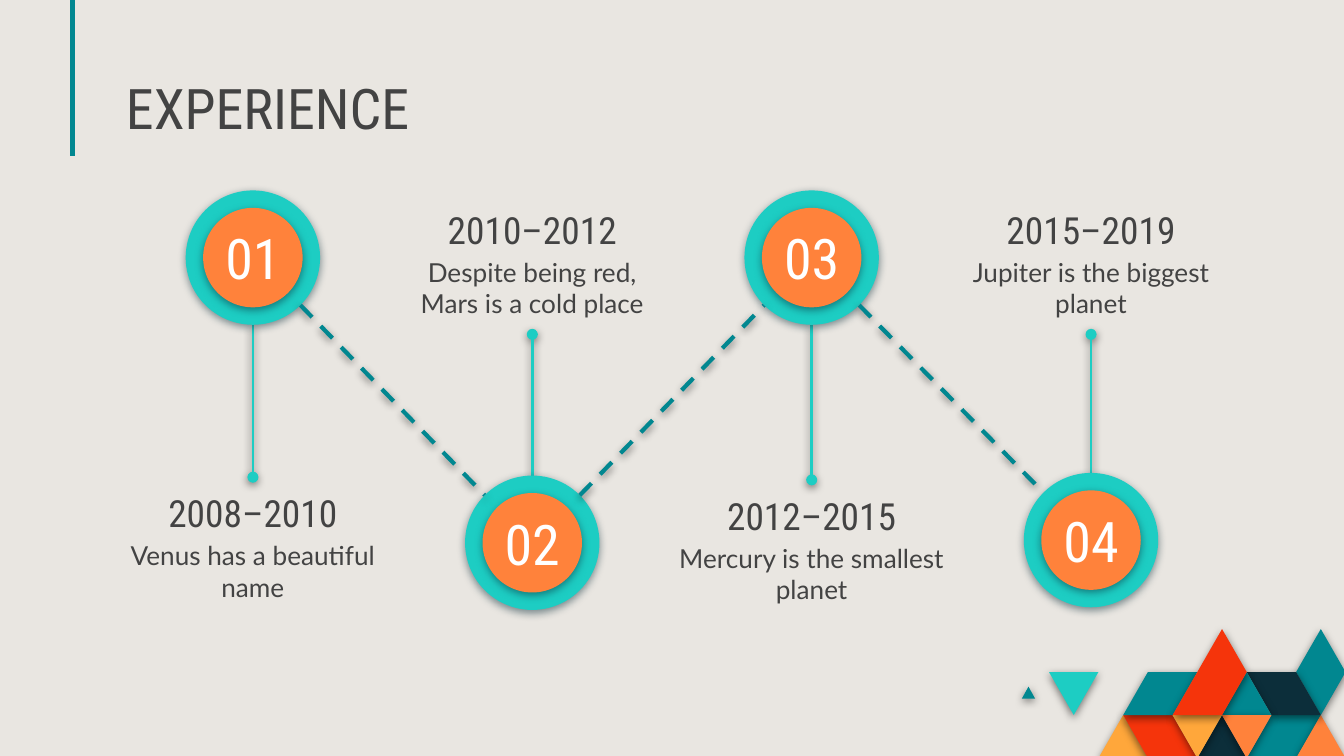
import math

import pptx
import pptx.dml.color
import pptx.enum.dml
import pptx.enum.shapes
import pptx.enum.text
import pptx.oxml
import pptx.oxml.ns
import pptx.util

Cm = pptx.util.Cm
Pt = pptx.util.Pt
ALIGN = pptx.enum.text.PP_ALIGN
ANCHOR = pptx.enum.text.MSO_ANCHOR

# Content: (number, years, note, side of the label, circle centre y, stem tip y)
TITLE = "EXPERIENCE"
MILESTONES = [
    ("01", "2008–2010", "Venus has a beautiful name", "below", 4.87, 9.02),
    ("02", "2010–2012", "Despite being red, Mars is a cold place", "above", 10.26, 6.32),
    ("03", "2012–2015", "Mercury is the smallest planet", "below", 4.87, 9.07),
    ("04", "2015–2019", "Jupiter is the biggest planet", "above", 10.21, 6.32),
]

THEME = {
    "background": "E9E6E1", "text": "434343", "white": "FFFFFF", "black": "000000",
    "teal": "018790", "turquoise": "1DCDC3", "orange": "FF823B",
    "amber": "FFA73B", "red": "F5340B", "navy": "0C2E3A",
    "heading font": "Roboto Condensed", "body font": "Lato",
    "title size": 30, "years size": 20, "note size": 14,
}

# Mosaic corners as (half-tile column, row), back to front
MOSAIC = [
    ("amber", [(0, 3), (1, 2), (2, 3)]),
    ("red", [(1, 2), (3, 2), (4, 3), (2, 3)]),
    ("teal", [(6, 3), (7, 2), (9, 2), (8, 3)]),
    ("orange", [(8, 3), (9, 2), (10, 3)]),
    ("navy", [(4, 3), (5, 2), (6, 3)]),
    ("teal", [(1, 2), (2, 1), (4, 1), (3, 2)]),
    ("teal", [(-3.1, 1.62), (-2.83, 1.34), (-2.56, 1.62)]),
    ("turquoise", [(-2, 1), (0, 1), (-1, 2)]),
    ("teal", [(8, 1), (9, 0), (10, 1), (9, 2)]),
    ("navy", [(6, 1), (8, 1), (9, 2), (7, 2)]),
    ("teal", [(5, 2), (6, 1), (7, 2)]),
    ("orange", [(5, 2), (7, 2), (6, 3)]),
    ("amber", [(3, 2), (5, 2), (4, 3)]),
    ("red", [(3, 2), (5, 0), (6, 1), (5, 2)]),
]

# Layout in centimetres
SLIDE_WIDTH, SLIDE_HEIGHT = 25.4, 14.29
FIRST_X, STEP_X = 4.78, 5.28
OUTER, INNER, NUMBER_BOX = 2.54, 1.88, (1.65, 1.6)
YEARS_BOX, NOTE_WIDTH, NOTE_DROP = (4.11, 1.09), 5.59, 0.93
LABEL_SIDES = {"below": {"offset": 0, "note height": 1.47},
               "above": {"offset": -2.66, "note height": 1.73}}
MOSAIC_X, MOSAIC_Y = 20.76, 11.89
HALF_TILE, TILE_HEIGHT = 4.67 / 10, 2.44 / 3


def color(name):
    return pptx.dml.color.RGBColor.from_string(THEME[name])


def apply_format(target, values):
    for name, value in values.items():
        setattr(target, name, value)


def set_effects(shape, shadow=None):
    """Replace the inherited effects by one soft shadow, or by none."""
    effects = pptx.oxml.parse_xml(
        "<a:effectLst %s/>" % pptx.oxml.ns.nsdecls("a"))
    if shadow:
        effects.append(pptx.oxml.parse_xml(
            '<a:outerShdw %s blurRad="%d" dist="%d" dir="5400000" algn="bl" rotWithShape="0">'
            '<a:srgbClr val="%s"><a:alpha val="50000"/></a:srgbClr></a:outerShdw>'
            % (pptx.oxml.ns.nsdecls("a"), Pt(4.5), Pt(1.5), THEME[shadow])))
    shape._element.spPr.append(effects)


def paint(shape, fill, shadow):
    shape.fill.solid()
    shape.fill.fore_color.rgb = color(fill)
    shape.line.fill.background()
    set_effects(shape, shadow)


def add_line(start, end, line_color, width, shadow="black", dash=None, oval=False):
    line = slide.shapes.add_connector(
        pptx.enum.shapes.MSO_CONNECTOR.STRAIGHT, *map(Cm, start + end))
    line.line.color.rgb = color(line_color)
    apply_format(line.line, {"width": Pt(width), "dash_style": dash})
    if oval:
        line.line._get_or_add_ln().append(pptx.oxml.parse_xml(
            '<a:tailEnd %s type="oval"/>' % pptx.oxml.ns.nsdecls("a")))
    set_effects(line, shadow)


def add_circle(x, y, diameter, fill):
    circle = slide.shapes.add_shape(
        pptx.enum.shapes.MSO_SHAPE.OVAL, Cm(x - diameter / 2), Cm(y - diameter / 2),
        Cm(diameter), Cm(diameter))
    paint(circle, fill, "navy")


def write(shape, text, size, font="heading font", font_color="text",
          align=ALIGN.CENTER, anchor=ANCHOR.TOP, spacing=1.0):
    frame = shape.text_frame
    inset = Cm(0.25)
    apply_format(frame, {
        "text": text, "word_wrap": True, "vertical_anchor": anchor,
        "auto_size": pptx.enum.text.MSO_AUTO_SIZE.NONE,
        "margin_left": inset, "margin_right": inset,
        "margin_top": inset, "margin_bottom": inset})
    paragraph = frame.paragraphs[0]
    apply_format(paragraph, {"alignment": align, "line_spacing": spacing})
    apply_format(paragraph.font, {"name": THEME[font], "size": Pt(THEME[size])})
    paragraph.font.color.rgb = color(font_color)


def add_text(center_x, top, width, height, text, size, **options):
    box = slide.shapes.add_textbox(
        Cm(center_x - width / 2), Cm(top), Cm(width), Cm(height))
    write(box, text, size, **options)


presentation = pptx.Presentation()
apply_format(presentation, {"slide_width": Cm(SLIDE_WIDTH),
                            "slide_height": Cm(SLIDE_HEIGHT)})
slide = presentation.slides.add_slide(presentation.slide_layouts[5])
slide.background.fill.solid()
slide.background.fill.fore_color.rgb = color("background")

# Title and its accent line
title = slide.shapes.title
apply_format(title, {"left": Cm(2.13), "top": Cm(1.3),
                     "width": Cm(10.57), "height": Cm(1.6)})
write(title, TITLE, "title size", align=ALIGN.LEFT, anchor=ANCHOR.BOTTOM, spacing=0.8)
add_line((1.37, 0), (1.37, 2.95), "teal", 2.25, shadow=None)

# Corner mosaic
for fill, corners in MOSAIC:
    points = [(Cm(MOSAIC_X + column * HALF_TILE), Cm(MOSAIC_Y + row * TILE_HEIGHT))
              for column, row in corners]
    builder = slide.shapes.build_freeform(*points[0], scale=1.0)
    builder.add_line_segments(points[1:], close=True)
    paint(builder.convert_to_shape(), fill, "black")

# Milestones: stem, circles, number and label
centers = []
for index, (number, years, note, side, y, tip) in enumerate(MILESTONES):
    x = FIRST_X + index * STEP_X
    centers.append((x, y))
    edge = y + math.copysign(OUTER / 2, tip - y)
    add_line((x, edge), (x, tip), "turquoise", 1.5, oval=True)
    add_circle(x, y, OUTER, "turquoise")
    add_circle(x, y, INNER, "orange")
    add_text(x, y - NUMBER_BOX[1] / 2, *NUMBER_BOX, number, "title size",
             font_color="white", anchor=ANCHOR.MIDDLE)
    label_top = tip + LABEL_SIDES[side]["offset"]
    add_text(x, label_top + NOTE_DROP, NOTE_WIDTH, LABEL_SIDES[side]["note height"],
             note, "note size", font="body font")
    add_text(x, label_top, *YEARS_BOX, years, "years size")

# Dashed links between the diagonal edges of neighbouring circles
reach = OUTER / 2 * math.cos(math.pi / 4)
for (x1, y1), (x2, y2) in zip(centers, centers[1:]):
    rise = math.copysign(reach, y2 - y1)
    add_line((x1 + reach, y1 + rise), (x2 - reach, y2 - rise), "teal", 2.25,
             dash=pptx.enum.dml.MSO_LINE.DASH)

presentation.save("out.pptx")
